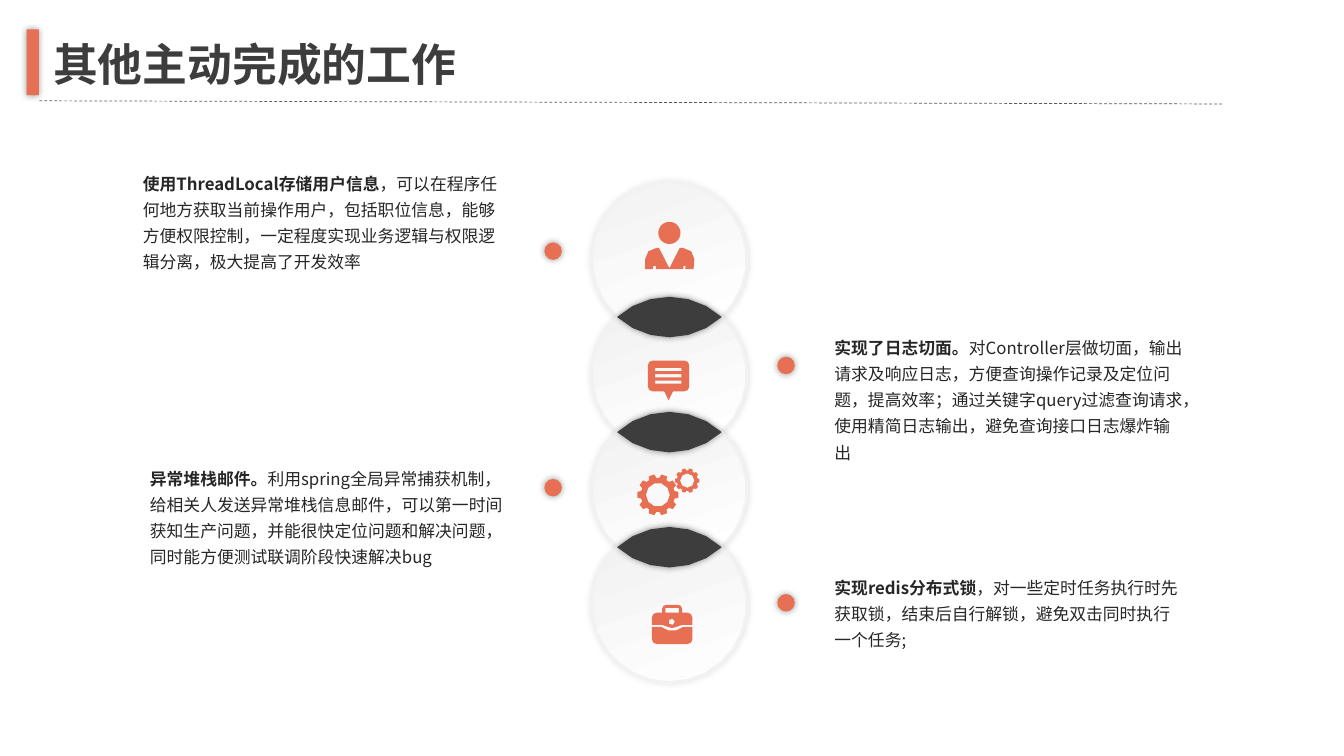
from math import asin, cos, degrees, radians, sin, sqrt

from lxml.etree import SubElement
from pptx import Presentation
from pptx.dml.color import RGBColor
from pptx.enum.dml import MSO_LINE
from pptx.enum.shapes import MSO_CONNECTOR, MSO_SHAPE
from pptx.enum.text import MSO_AUTO_SIZE as AutoSize
from pptx.oxml.ns import qn
from pptx.util import Cm, Pt

CORAL = RGBColor(0xE7, 0x6F, 0x53)
CHARCOAL = RGBColor(0x3D, 0x3D, 0x3D)
INK = RGBColor(0x26, 0x26, 0x26)
RULE_GRAY = RGBColor(0x59, 0x59, 0x59)
PALE = RGBColor(0xF2, 0xF2, 0xF2)
WHITE = RGBColor(0xFF, 0xFF, 0xFF)
FONT = "Noto Sans CJK SC"

TITLE = "其他主动完成的工作"
NOTES = [
    ("实现了日志切面。",
     "对Controller层做切面，输出请求及响应日志，方便查询操作记录及定位问题，提高效率；"
     "通过关键字query过滤查询请求，使用精简日志输出，避免查询接口日志爆炸输出",
     (20.78, 8.23, 9.3, 3.53)),
    ("使用ThreadLocal存储用户信息",
     "，可以在程序任何地方获取当前操作用户，包括职位信息，能够方便权限控制，"
     "一定程度实现业务逻辑与权限逻辑分离，极大提高了开发效率",
     (3.35, 4.09, 9.6, 2.87)),
    ("实现redis分布式锁",
     "，对一些定时任务执行时先获取锁，结束后自行解锁，避免双击同时执行一个任务;",
     (20.78, 14.27, 9.3, 2.21)),
    ("异常堆栈邮件。",
     "利用spring全局异常捕获机制，给相关人发送异常堆栈信息邮件，可以第一时间获知生产问题，"
     "并能很快定位问题和解决问题，同时能方便测试联调阶段快速解决bug",
     (3.53, 11.53, 9.6, 2.87)),
]
DOTS = [(13.72, 6.11), (19.59, 8.99), (13.72, 12.07), (19.59, 14.97)]
DOT_SIZE = 0.44

LINKS = 4
CHAIN_X, CHAIN_TOP, PITCH, RADIUS = 16.87, 6.54, 2.9, 1.96
CROSSING = degrees(asin(PITCH / 2 / RADIUS))


def arc(x, y, radius, start, end):
    steps = max(2, round(abs(end - start) * sqrt(radius) / 20))
    angles = [radians(start + (end - start) * step / steps) for step in range(steps + 1)]
    return [(x + radius * cos(angle), y + radius * sin(angle)) for angle in angles]


def link_arc(index, start, end):
    return arc(CHAIN_X, CHAIN_TOP + index * PITCH, RADIUS, start, end)


def link_outline(index):
    first, last = index == 0, index == LINKS - 1
    top, bottom = (90 if first else CROSSING), (90 if last else CROSSING)
    points = link_arc(index, -top, bottom)
    if not last:
        points += link_arc(index + 1, -CROSSING, CROSSING - 180)
    points += link_arc(index, 180 - bottom, 180 + top)
    if not first:
        points += link_arc(index - 1, 180 - CROSSING, CROSSING)
    return points


def lens_outline(index):
    return (link_arc(index, CROSSING, 180 - CROSSING)
            + link_arc(index + 1, 180 + CROSSING, 360 - CROSSING))


def box(left, top, right, bottom):
    return [(left, top), (right, top), (right, bottom), (left, bottom)]


def rounded_box(left, top, right, bottom, radius):
    corners = [(right - radius, top + radius), (right - radius, bottom - radius),
               (left + radius, bottom - radius), (left + radius, top + radius)]
    return [point for turn, (x, y) in enumerate(corners)
            for point in arc(x, y, radius, turn * 90 - 90, turn * 90)]


def gear(x, y, outer, root, hole, teeth=10):
    profile = [(-13, root), (-8, outer), (8, outer), (13, root)]
    rim = [(x + radius * cos(radians(angle + tooth * 360 / teeth)),
            y + radius * sin(radians(angle + tooth * 360 / teeth)))
           for tooth in range(teeth) for angle, radius in profile]
    return [rim, arc(x, y, hole, 360, 0)]


def sag(x, y, half_width, depth):
    radius = (half_width ** 2 + depth ** 2) / (2 * depth)
    rise = sqrt(radius ** 2 - half_width ** 2)
    half_angle = degrees(asin(half_width / radius))
    return arc(x, y - rise, radius, 90 + half_angle, 90 - half_angle)


def paint(shape, color, shadow_alpha=0):
    shape.shadow.inherit = False
    shape.line.fill.background()
    shape.fill.solid()
    shape.fill.fore_color.rgb = color
    if shadow_alpha:
        effects = shape._element.spPr.find(qn("a:effectLst"))
        shadow = SubElement(effects, qn("a:outerShdw"), blurRad=str(Pt(5)), dist="0",
                            dir="0", algn="ctr", rotWithShape="0")
        black = SubElement(shadow, qn("a:srgbClr"), val="000000")
        SubElement(black, qn("a:alpha"), val=str(shadow_alpha * 1000))


def add_outline(shapes, contours, color=CORAL, shadow_alpha=0):
    builder = None
    for contour in contours:
        points = [(Cm(x), Cm(y)) for x, y in contour]
        if builder is None:
            builder = shapes.build_freeform(*points[0], scale=1.0)
        else:
            builder.move_to(*points[0])
        builder.add_line_segments(points[1:], close=True)
    shape = builder.convert_to_shape()
    paint(shape, color, shadow_alpha)
    return shape


def add_preset(shapes, kind, place, shadow_alpha=0):
    shape = shapes.add_shape(kind, *map(Cm, place))
    paint(shape, CORAL, shadow_alpha)


def add_text(shapes, runs, place, size, color, spacing=None):
    text_box = shapes.add_textbox(*map(Cm, place))
    frame = text_box.text_frame
    frame.word_wrap = True
    frame.auto_size = AutoSize.SHAPE_TO_FIT_TEXT
    paragraph = frame.paragraphs[0]
    paragraph.line_spacing = spacing
    for text, bold in runs:
        run = paragraph.add_run()
        run.text = text
        run.font.size, run.font.bold, run.font.name = Pt(size), bold, FONT
        run.font.color.rgb = color
        SubElement(run._r.get_or_add_rPr(), qn("a:ea"), typeface=FONT)


def add_link(shapes, index):
    link = add_outline(shapes, [link_outline(index)], WHITE, shadow_alpha=11)
    link.fill.gradient()
    link.fill.gradient_angle = 110
    for stop, color, position in zip(link.fill.gradient_stops, (WHITE, PALE), (0, 1)):
        stop.color.rgb = color
        stop.position = position
    link.line.color.rgb = PALE
    link.line.width = Pt(2)


def add_icons(shapes):
    person = shapes.add_group_shape().shapes
    add_preset(person, MSO_SHAPE.OVAL, (16.59, 5.59, 0.56, 0.56))
    torso = (arc(16.54, 6.53, 0.28, 180, 270) + [(16.61, 6.25), (16.87, 6.76), (17.13, 6.25)]
             + arc(17.22, 6.53, 0.28, 270, 360)
             + [(17.48, 6.78), (17.27, 6.78), (17.27, 6.7), (17.22, 6.7), (17.22, 6.78),
                (16.53, 6.78), (16.53, 6.7), (16.46, 6.7), (16.46, 6.78), (16.26, 6.78)])
    add_outline(person, [torso])

    gears = shapes.add_group_shape().shapes
    add_outline(gears, gear(16.58, 12.47, 0.52, 0.43, 0.3))
    add_outline(gears, gear(17.32, 12.11, 0.31, 0.26, 0.18))

    briefcase = shapes.add_group_shape().shapes
    lower = (sag(16.94, 15.8, 0.27, 0.1) + [(17.45, 15.8)]
             + arc(17.33, 16.11, 0.12, 0, 90) + arc(16.55, 16.11, 0.12, 90, 180)
             + [(16.43, 15.8)])
    upper = (sag(16.94, 15.75, 0.25, 0.08) + [(17.45, 15.75)]
             + arc(17.33, 15.56, 0.12, 0, -90) + [(17.19, 15.44)]
             + arc(17.09, 15.34, 0.1, 0, -90) + arc(16.79, 15.34, 0.1, -90, -180)
             + [(16.69, 15.44)] + arc(16.55, 15.56, 0.12, -90, -180) + [(16.43, 15.75)])
    add_outline(briefcase, [lower])
    add_outline(briefcase, [upper, box(16.77, 15.32, 17.11, 15.44),
                            arc(16.93, 15.67, 0.08, 360, 0)])

    bubble = shapes.add_group_shape().shapes
    add_outline(bubble, [[(16.71, 9.8), (16.99, 9.8), (16.85, 10.09)]])
    lines = [box(16.51, top, 17.17, top + 0.08) for top in (9.27, 9.43, 9.59)]
    add_outline(bubble, [rounded_box(16.33, 9.09, 17.37, 9.86, 0.11)] + lines)


def main():
    presentation = Presentation()
    presentation.slide_width, presentation.slide_height = Cm(33.87), Cm(19.05)
    shapes = presentation.slides.add_slide(presentation.slide_layouts[6]).shapes

    add_preset(shapes, MSO_SHAPE.RECTANGLE, (0.67, 0.74, 0.31, 1.66), shadow_alpha=40)
    rule = shapes.add_connector(MSO_CONNECTOR.STRAIGHT, Cm(0.99), Cm(2.54), Cm(30.81), Cm(2.62))
    rule.line.color.rgb = RULE_GRAY
    rule.line.width = Pt(0.5)
    rule.line.dash_style = MSO_LINE.DASH
    SubElement(rule._element.spPr, qn("a:effectLst"))
    add_text(shapes, [(TITLE, True)], (1.09, 0.81, 14.68, 1.63), 32, CHARCOAL)

    for index in range(LINKS):
        add_link(shapes, index)
        if index:
            add_outline(shapes, [lens_outline(index - 1)], CHARCOAL, shadow_alpha=40)
    add_icons(shapes)
    for heading, body, place in NOTES:
        add_text(shapes, [(heading, True), (body, False)], place, 12, INK, spacing=1.3)
    for left, top in DOTS:
        add_preset(shapes, MSO_SHAPE.OVAL, (left, top, DOT_SIZE, DOT_SIZE), shadow_alpha=40)
    presentation.save("out.pptx")


if __name__ == "__main__":
    main()
